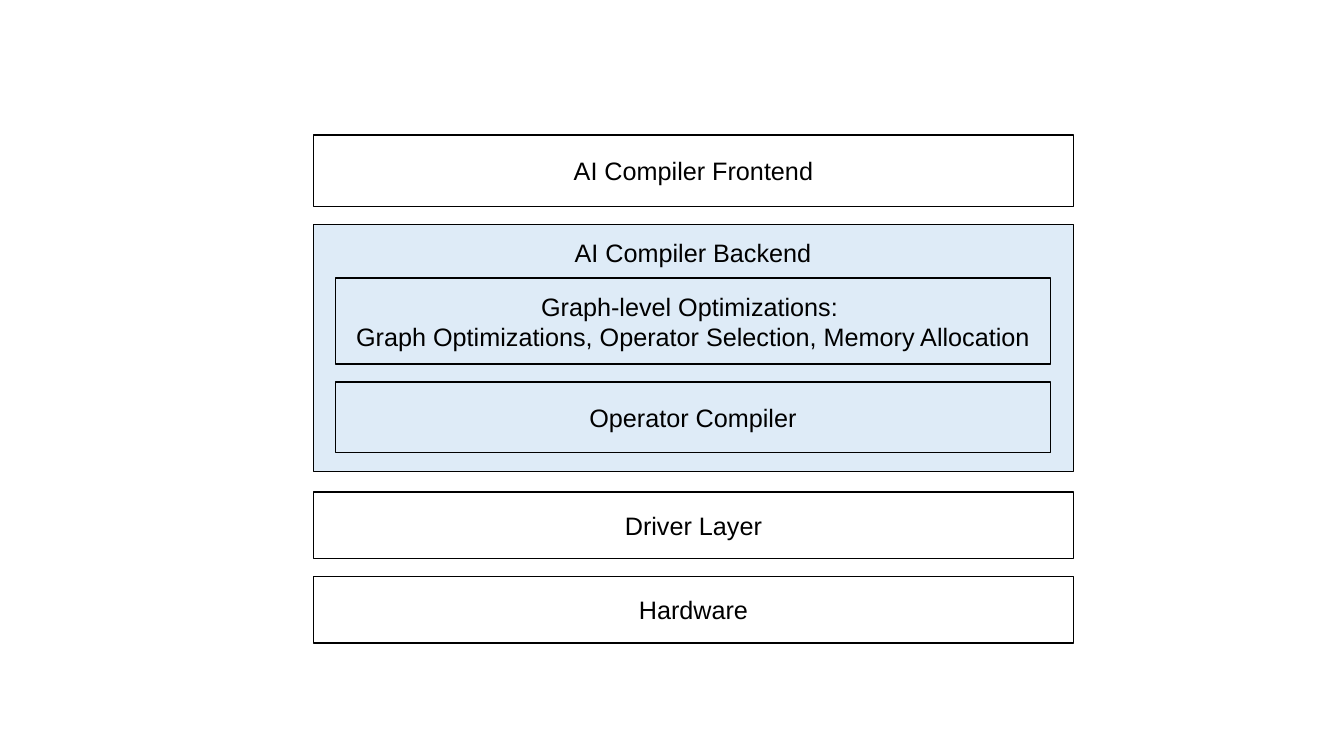
from pptx import Presentation
from pptx.dml.color import RGBColor
from pptx.enum import shapes, text
from pptx.util import Pt

BLACK = RGBColor(0x00, 0x00, 0x00)
WHITE = RGBColor(0xFF, 0xFF, 0xFF)
PALE_BLUE = RGBColor(0xDE, 0xEB, 0xF7)

STACK_LEFT, STACK_WIDTH = 223.92, 542.88
STAGE_LEFT, STAGE_WIDTH = 239.76, 510.48


def write_label(holder, wording):
    frame = holder.text_frame
    frame.text = wording
    frame.word_wrap = True
    paragraph = frame.paragraphs[0]
    paragraph.alignment = text.PP_ALIGN.CENTER
    for run in paragraph.runs:
        run.font.name = "Arial"
        run.font.size = Pt(18)
        run.font.color.rgb = BLACK


deck = Presentation()
deck.slide_width = Pt(960)
deck.slide_height = Pt(540)
slide = deck.slides.add_slide(deck.slide_layouts[6])

layers = [
    ("AI Compiler Frontend", 96.48, 51.12, WHITE),
    ("", 160.56, 176.4, PALE_BLUE),
    ("Driver Layer", 351.36, 47.52, WHITE),
    ("Hardware", 411.84, 47.52, WHITE),
]
backend_stages = [
    ("Graph-level Optimizations: \vGraph Optimizations, Operator Selection, Memory Allocation",
     198.72, 61.2, PALE_BLUE),
    ("Operator Compiler", 272.88, 50.4, PALE_BLUE),
]

for left, width, boxes in (
    (STACK_LEFT, STACK_WIDTH, layers),
    (STAGE_LEFT, STAGE_WIDTH, backend_stages),
):
    for wording, top, height, fill in boxes:
        layer = slide.shapes.add_shape(
            shapes.MSO_SHAPE.RECTANGLE, Pt(left), Pt(top), Pt(width), Pt(height))
        layer.shadow.inherit = False
        layer.fill.solid()
        layer.fill.fore_color.rgb = fill
        layer.line.color.rgb = BLACK
        layer.line.width = Pt(1)
        layer.text_frame.vertical_anchor = text.MSO_ANCHOR.MIDDLE
        if wording:
            write_label(layer, wording)

backend_title = slide.shapes.add_textbox(Pt(379.44), Pt(166.32), Pt(231.12), Pt(28.8))
write_label(backend_title, "AI Compiler Backend")
backend_title.text_frame.auto_size = text.MSO_AUTO_SIZE.SHAPE_TO_FIT_TEXT

deck.save("out.pptx")
